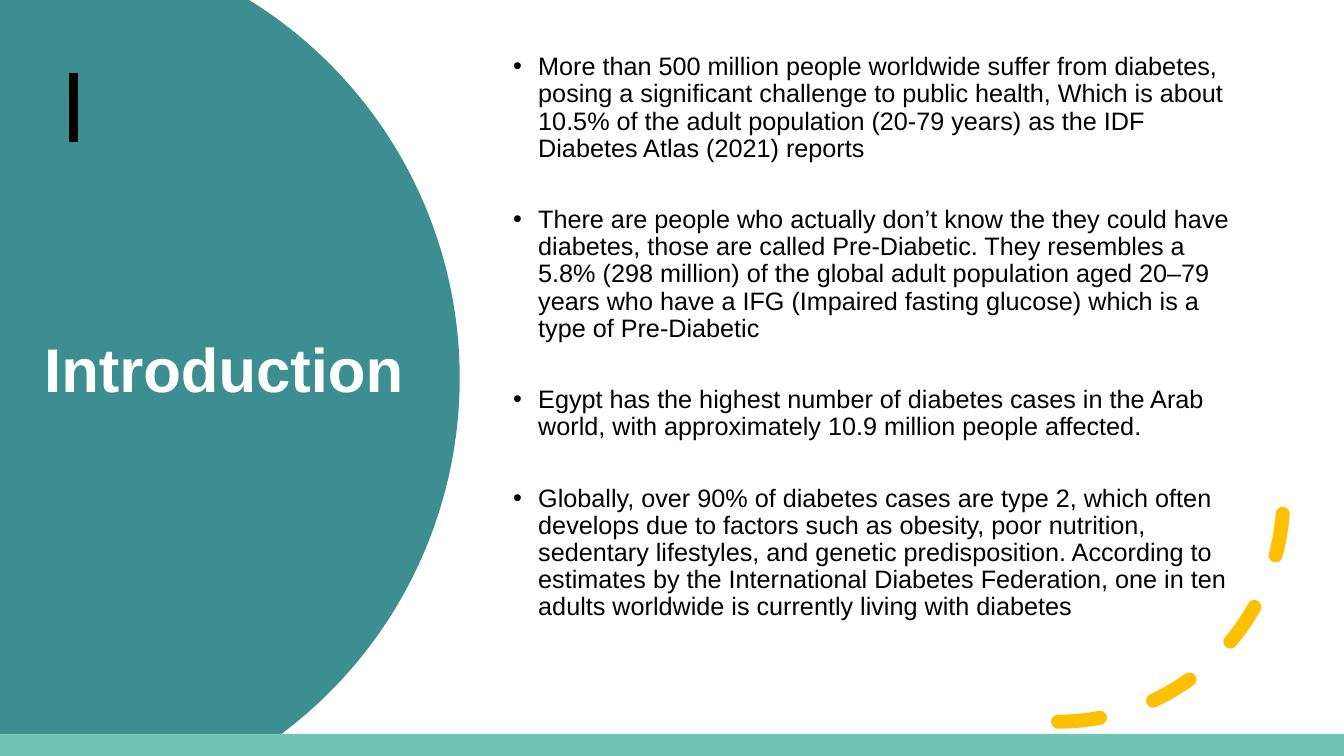
from math import asin, cos, degrees

from pptx import Presentation
from pptx.dml.color import RGBColor
from pptx.enum.dml import MSO_LINE
from pptx.enum.shapes import MSO_CONNECTOR, MSO_SHAPE
from pptx.enum.text import MSO_ANCHOR
from pptx.oxml.ns import qn
from pptx.oxml.xmlchemy import OxmlElement
from pptx.util import Inches, Pt

WIDTH, HEIGHT = 13.33, 7.5
TITLE = "Introduction"
FACTS = [
    "More than 500 million people worldwide suffer from diabetes, posing a significant challenge to public health, Which is about 10.5% of the adult population (20-79 years) as the IDF Diabetes Atlas (2021) reports",
    "There are people who actually don’t know the they could have diabetes, those are called Pre-Diabetic. They resembles a 5.8% (298 million) of the global adult population aged 20–79 years who have a IFG (Impaired fasting glucose) which is a type of Pre-Diabetic",
    "Egypt has the highest number of diabetes cases in the Arab world, with approximately 10.9 million people affected.",
    "Globally, over 90% of diabetes cases are type 2, which often develops due to factors such as obesity, poor nutrition, sedentary lifestyles, and genetic predisposition. According to estimates by the International Diabetes Federation, one in ten adults worldwide is currently living with diabetes",
]
TITLE_FONT = {"name": "Arial", "size": Pt(44), "bold": True}
FACT_FONT = {"name": "Arial", "size": Pt(18), "bold": False}
TITLE_BOX = (0.34, 1.26, 3.91, 4.88)
FACT_BOX = (4.86, 0.65, 7.55, 6.11)
ARC_BOX = (8.26, 2.69, 4.47, 4.47)
TITLE_GAP, FACT_GAP = 6, 31.4
TITLE_INSET, FACT_INSET = 0.05, 0.76
DISC_CENTER, DISC_RADIUS = 0.15, 4.41
BAR_HEIGHT = 0.22
ACCENT_X, ACCENT_TOP, ACCENT_BOTTOM = 0.73, 0.72, 1.41


def color(value):
    """Return a colour from a hex string."""
    return RGBColor.from_string(value)


def box(values):
    """Convert lengths in inches."""
    return [Inches(value) for value in values]


def fill_shape(shape, value):
    """Give a shape a plain fill without outline or shadow."""
    shape.shadow.inherit = False
    shape.fill.solid()
    shape.fill.fore_color.rgb = color(value)
    shape.line.fill.background()


def style_line(shape, value, width):
    """Set the colour and width of a line."""
    shape.line.color.rgb = color(value)
    shape.line.width = Pt(width)


def add_disc(slide):
    """Draw the disc cut off by the slide's left, top and bottom edges."""
    limit = asin(HEIGHT / 2 / DISC_RADIUS)
    edge = DISC_CENTER + DISC_RADIUS * cos(limit)
    right = DISC_CENTER + DISC_RADIUS
    corners = [(edge, 0), (right, HEIGHT / 2), (edge, HEIGHT), (0, HEIGHT)]
    builder = slide.shapes.build_freeform(0, 0)
    builder.add_line_segments([box(corner) for corner in corners], close=True)
    disc = builder.convert_to_shape()
    fill_shape(disc, "3C8E90")
    upper, lower = list(disc._element.iter(qn("a:lnTo")))[1:3]
    start = round(degrees(limit) * 60000)
    curve = OxmlElement("a:arcTo")
    radius = Inches(DISC_RADIUS)
    for name, setting in {"wR": radius, "hR": radius, "stAng": -start, "swAng": 2 * start}.items():
        curve.set(name, str(setting))
    outline = upper.getparent()
    outline.replace(upper, curve)
    outline.remove(lower)


def add_text(slide, bounds, texts, font, value, gap, inset):
    """Add a vertically centred text box and return its paragraphs."""
    frame = slide.shapes.add_textbox(*box(bounds)).text_frame
    frame.word_wrap = True
    frame.vertical_anchor = MSO_ANCHOR.MIDDLE
    frame.margin_bottom = Inches(inset)
    frame.text = "\n".join(texts)
    for paragraph in frame.paragraphs:
        paragraph.line_spacing = 0.9
        paragraph.space_after = Pt(gap)
        text_font = paragraph.runs[0].font
        for name, setting in font.items():
            setattr(text_font, name, setting)
        text_font.color.rgb = color(value)
    return frame.paragraphs


def add_bullet(paragraph):
    """Give a paragraph a hanging bullet."""
    properties = paragraph._p.get_or_add_pPr()
    properties.set("marL", str(Inches(0.38)))
    properties.set("indent", str(Inches(-0.25)))
    for tag, name, setting in (("a:buFont", "typeface", "Arial"), ("a:buChar", "char", "•")):
        element = OxmlElement(tag)
        element.set(name, setting)
        properties.append(element)


def add_arc(slide):
    """Draw the dashed arc with round dashes."""
    arc = slide.shapes.add_shape(MSO_SHAPE.ARC, *box(ARC_BOX))
    arc.shadow.inherit = False
    arc.fill.background()
    style_line(arc, "FFC000", 10)
    arc.line.dash_style = MSO_LINE.DASH
    arc.line._get_or_add_ln().set("cap", "rnd")
    arc._element.spPr.xfrm.set("flipV", "1")


def add_accent(slide):
    """Draw the short upright line."""
    ends = box((ACCENT_X, ACCENT_TOP, ACCENT_X, ACCENT_BOTTOM))
    accent = slide.shapes.add_connector(MSO_CONNECTOR.STRAIGHT, *ends)
    style_line(accent, "000000", 6)
    accent._element.spPr.append(OxmlElement("a:effectLst"))


def main():
    """Build and save the slide."""
    presentation = Presentation()
    presentation.slide_width, presentation.slide_height = box((WIDTH, HEIGHT))
    slide = presentation.slides.add_slide(presentation.slide_layouts[6])
    add_disc(slide)
    add_text(slide, TITLE_BOX, [TITLE], TITLE_FONT, "FFFFFF", TITLE_GAP, TITLE_INSET)
    add_arc(slide)
    for paragraph in add_text(slide, FACT_BOX, FACTS, FACT_FONT, "000000", FACT_GAP, FACT_INSET):
        add_bullet(paragraph)
    add_accent(slide)
    bar_box = box((0, HEIGHT - BAR_HEIGHT, WIDTH, BAR_HEIGHT))
    fill_shape(slide.shapes.add_shape(MSO_SHAPE.RECTANGLE, *bar_box), "6FC4B6")
    presentation.save("out.pptx")


if __name__ == "__main__":
    main()
